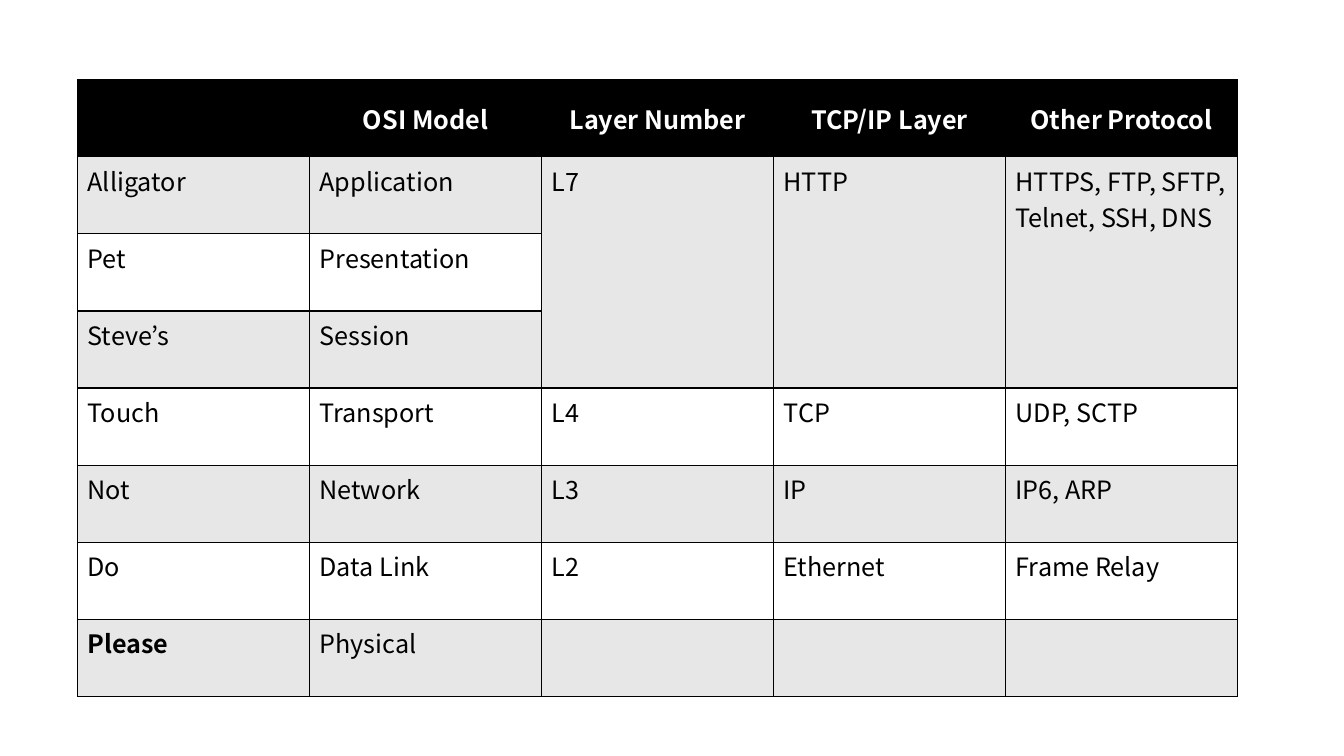
"""Build a slide with a table that maps the OSI layers to protocols."""
from dataclasses import dataclass

from lxml.etree import SubElement
from pptx import Presentation
from pptx.dml.color import RGBColor
from pptx.enum.text import MSO_ANCHOR as Anchor, PP_ALIGN as Align
from pptx.oxml.ns import qn
from pptx.table import Table, _Cell as Cell
from pptx.util import Pt

FONT = "Noto Sans CJK KR"
BLACK, WHITE, GRAY = "000000", "FFFFFF", "E7E7E7"
LEFT, TOP = 55.4, 56.9
COLUMN_WIDTH, ROW_HEIGHT = 165.74, 55.1
MERGED_ROWS = (1, 3)
MERGED_COLUMNS = (2, 3, 4)


@dataclass(frozen=True)
class Layer:
    mnemonic: str
    name: str
    number: str = ""
    tcp_ip: str = ""
    other: str = ""

    def texts(self) -> tuple[str, ...]:
        return self.mnemonic, self.name, self.number, self.tcp_ip, self.other


HEADER = Layer("", "OSI Model", "Layer Number", "TCP/IP Layer", "Other Protocol")
LAYERS = [
    Layer("Alligator", "Application", "L7", "HTTP", "HTTPS, FTP, SFTP, Telnet, SSH, DNS"),
    Layer("Pet", "Presentation"),
    Layer("Steve’s", "Session"),
    Layer("Touch", "Transport", "L4", "TCP", "UDP, SCTP"),
    Layer("Not", "Network", "L3", "IP", "IP6, ARP"),
    Layer("Do", "Data Link", "L2", "Ethernet", "Frame Relay"),
    Layer("Please", "Physical"),
]


def color(value: str) -> RGBColor:
    return RGBColor.from_string(value)


def add_borders(cell: Cell) -> None:
    properties = cell._tc.get_or_add_tcPr()
    for side in ("lnL", "lnR", "lnT", "lnB"):
        line = SubElement(properties, qn(f"a:{side}"), w=str(Pt(1)))
        fill = SubElement(line, qn("a:solidFill"))
        SubElement(fill, qn("a:srgbClr"), val=BLACK)


def format_cell(cell: Cell, text: str, fill: str, is_header: bool, bold: bool) -> None:
    add_borders(cell)
    cell.fill.solid()
    cell.fill.fore_color.rgb = color(fill)
    cell.vertical_anchor = Anchor.MIDDLE if is_header else Anchor.TOP
    if not text:
        return
    paragraph = cell.text_frame.paragraphs[0]
    paragraph.alignment = Align.CENTER if is_header else Align.LEFT
    run = paragraph.add_run()
    run.text = text
    for attribute, value in {"name": FONT, "size": Pt(18), "bold": bold}.items():
        setattr(run.font, attribute, value)
    run.font.color.rgb = color(WHITE if is_header else BLACK)


def fill_row(table: Table, row: int, layer: Layer) -> None:
    is_header = row == 0
    table.rows[row].height = Pt(ROW_HEIGHT)
    fill = BLACK if is_header else GRAY if row % 2 else WHITE
    for column, text in enumerate(layer.texts()):
        bold = is_header or (row == len(LAYERS) and column == 0)
        format_cell(table.cell(row, column), text, fill, is_header, bold)


def main() -> None:
    presentation = Presentation()
    presentation.slide_width, presentation.slide_height = Pt(960), Pt(540)
    slide = presentation.slides.add_slide(presentation.slide_layouts[6])
    rows = [HEADER, *LAYERS]
    columns = len(HEADER.texts())
    table = slide.shapes.add_table(
        len(rows), columns, Pt(LEFT), Pt(TOP),
        Pt(COLUMN_WIDTH * columns), Pt(ROW_HEIGHT * len(rows)),
    ).table
    table.first_row = table.horz_banding = False
    for column in table.columns:
        column.width = Pt(COLUMN_WIDTH)
    for row, layer in enumerate(rows):
        fill_row(table, row, layer)
    first, last = MERGED_ROWS
    for column in MERGED_COLUMNS:
        table.cell(first, column).merge(table.cell(last, column))
    presentation.save("out.pptx")


if __name__ == "__main__":
    main()
